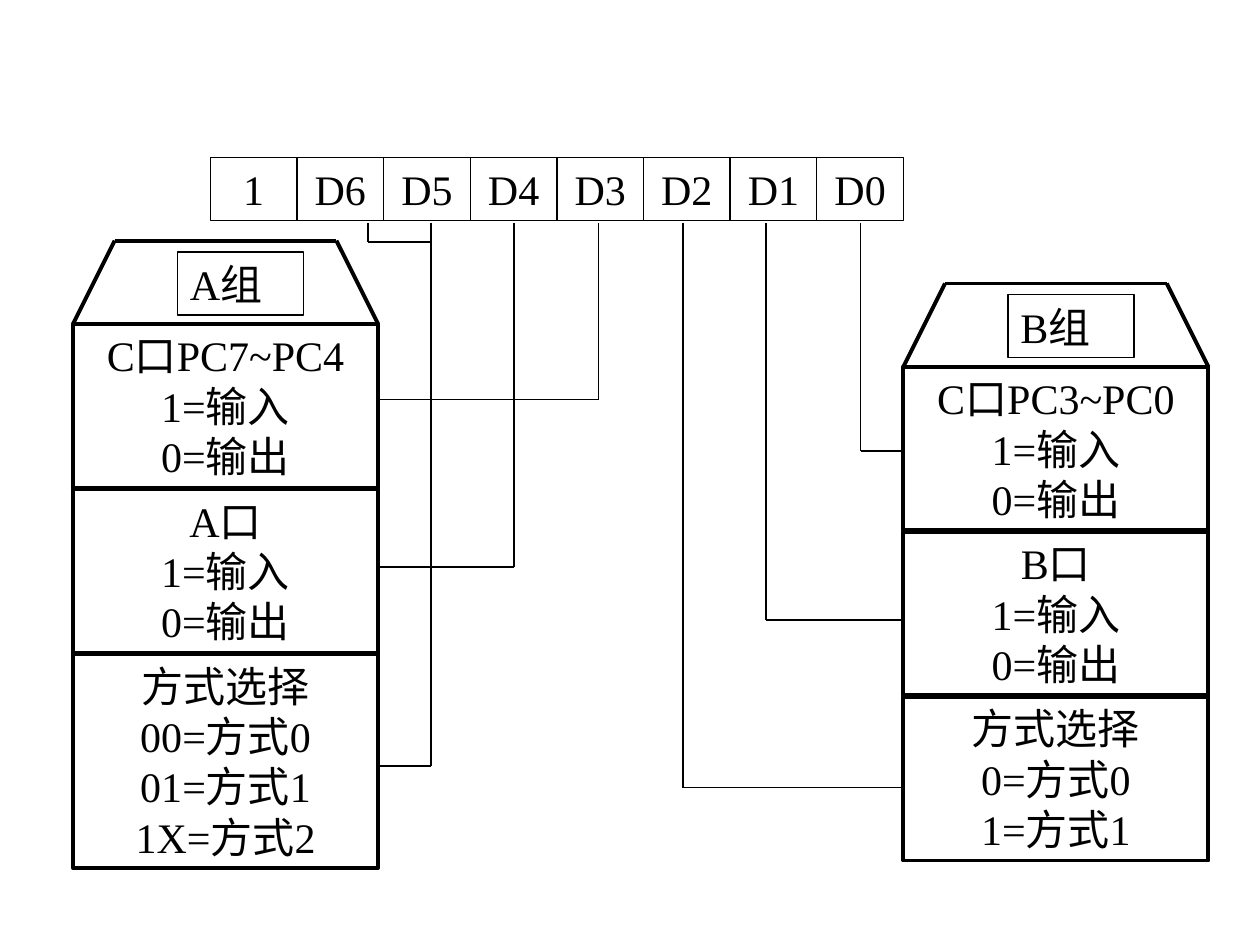
from dataclasses import dataclass

import pptx
import pptx.dml.color
import pptx.enum.shapes
import pptx.enum.text
import pptx.oxml.ns
import pptx.util
from lxml import etree
from pptx.util import Inches


@dataclass(frozen=True)
class Theme:
    """Colours, type and line widths of the slide."""
    ink: pptx.dml.color.RGBColor = pptx.dml.color.RGBColor(0, 0, 0)
    font: str = "Times New Roman"
    size: float = 24
    thin: float = 0.75
    thick: float = 2.25


THEME = Theme()
CENTER = pptx.enum.text.PP_ALIGN.CENTER
LEFT = pptx.enum.text.PP_ALIGN.LEFT
BITS = ["1", "D6", "D5", "D4", "D3", "D2", "D1", "D0"]
BIT_LEFT, BIT_TOP, BIT_WIDTH, BIT_HEIGHT = 1.67, 1.25, 0.6875, 0.5
PANEL_WIDTH, FIELD_HEIGHT, FIELD_PITCH = 2.42, 1.3, 1.31
A_LEFT, A_TOP = 0.58, 2.57
B_LEFT, B_TOP = 7.17, 2.91
A_EDGE = A_LEFT + PANEL_WIDTH
WIRE_TOP = 1.77
DIRECTIONS = ["1=输入", "0=输出"]
A_FIELDS = [
    ["C口PC7~PC4", *DIRECTIONS],
    ["A口", *DIRECTIONS],
    ["方式选择", "00=方式0", "01=方式1", "1X=方式2"],
]
B_FIELDS = [
    ["C口PC3~PC0", *DIRECTIONS],
    ["B口", *DIRECTIONS],
    ["方式选择", "0=方式0", "1=方式1"],
]
WIRES = [
    (4.75, 3.17, A_EDGE),
    (4.08, 4.5, A_EDGE),
    (3.42, 6.08, A_EDGE),
    (2.92, 1.92, 3.42),
    (6.83, 3.58, B_LEFT),
    (6.08, 4.92, B_LEFT),
    (5.42, 6.25, B_LEFT),
]


def add_box(slide, left, top, width, height, lines, weight, alignment=CENTER):
    """Add an unfilled outlined rectangle with one paragraph per line."""
    shape = slide.shapes.add_shape(
        pptx.enum.shapes.MSO_SHAPE.RECTANGLE,
        Inches(left), Inches(top), Inches(width), Inches(height))
    shape.shadow.inherit = False
    shape.fill.background()
    shape.line.color.rgb = THEME.ink
    shape.line.width = pptx.util.Pt(weight)
    frame = shape.text_frame
    frame.word_wrap = True
    frame.vertical_anchor = pptx.enum.text.MSO_ANCHOR.TOP
    frame.text = "\n".join(lines)
    for paragraph in frame.paragraphs:
        paragraph.alignment = alignment
        paragraph.font.name = THEME.font
        paragraph.font.size = pptx.util.Pt(THEME.size)
        paragraph.font.color.rgb = THEME.ink


def add_line(slide, start, end, weight):
    """Add a straight line between two points."""
    connector = slide.shapes.add_connector(
        pptx.enum.shapes.MSO_CONNECTOR.STRAIGHT,
        *(Inches(value) for value in (*start, *end)))
    connector.line.color.rgb = THEME.ink
    connector.line.width = pptx.util.Pt(weight)
    properties = connector.element.spPr
    etree.SubElement(properties, pptx.oxml.ns.qn("a:effectLst"))


def add_bits(slide):
    """Add the row of control word bits."""
    for index, bit in enumerate(BITS):
        add_box(slide, BIT_LEFT + index * BIT_WIDTH, BIT_TOP,
                BIT_WIDTH, BIT_HEIGHT, [bit], THEME.thin)


def add_panel(slide, left, top, name, fields, last_height):
    """Add a group panel: stacked fields under a roof with a label."""
    heights = [FIELD_HEIGHT, FIELD_HEIGHT, last_height]
    for index, (lines, height) in enumerate(zip(fields, heights)):
        add_box(slide, left, top + index * FIELD_PITCH,
                PANEL_WIDTH, height, lines, THEME.thick)
    right, ridge, eave = left + PANEL_WIDTH, top - 0.66, 0.33
    roof = [(left, top), (left + eave, ridge), (right - eave, ridge), (right, top)]
    for start, end in zip(roof, roof[1:]):
        add_line(slide, start, end, THEME.thick)
    add_box(slide, left + 0.83, top - 0.57, 1, 0.5, [name], THEME.thin, LEFT)


def add_wire(slide, column, level, edge):
    """Add a wire dropping from a bit and turning to an edge."""
    add_line(slide, (column, WIRE_TOP), (column, level), THEME.thin)
    add_line(slide, (column, level), (edge, level), THEME.thin)


def main():
    """Build and save the control word slide."""
    presentation = pptx.Presentation()
    presentation.slide_width = Inches(10)
    presentation.slide_height = Inches(7.5)
    slide = presentation.slides.add_slide(presentation.slide_layouts[6])
    add_bits(slide)
    add_panel(slide, A_LEFT, A_TOP, "A组", A_FIELDS, 1.7)
    add_panel(slide, B_LEFT, B_TOP, "B组", B_FIELDS, FIELD_HEIGHT)
    for wire in WIRES:
        add_wire(slide, *wire)
    presentation.save("out.pptx")


if __name__ == "__main__":
    main()
